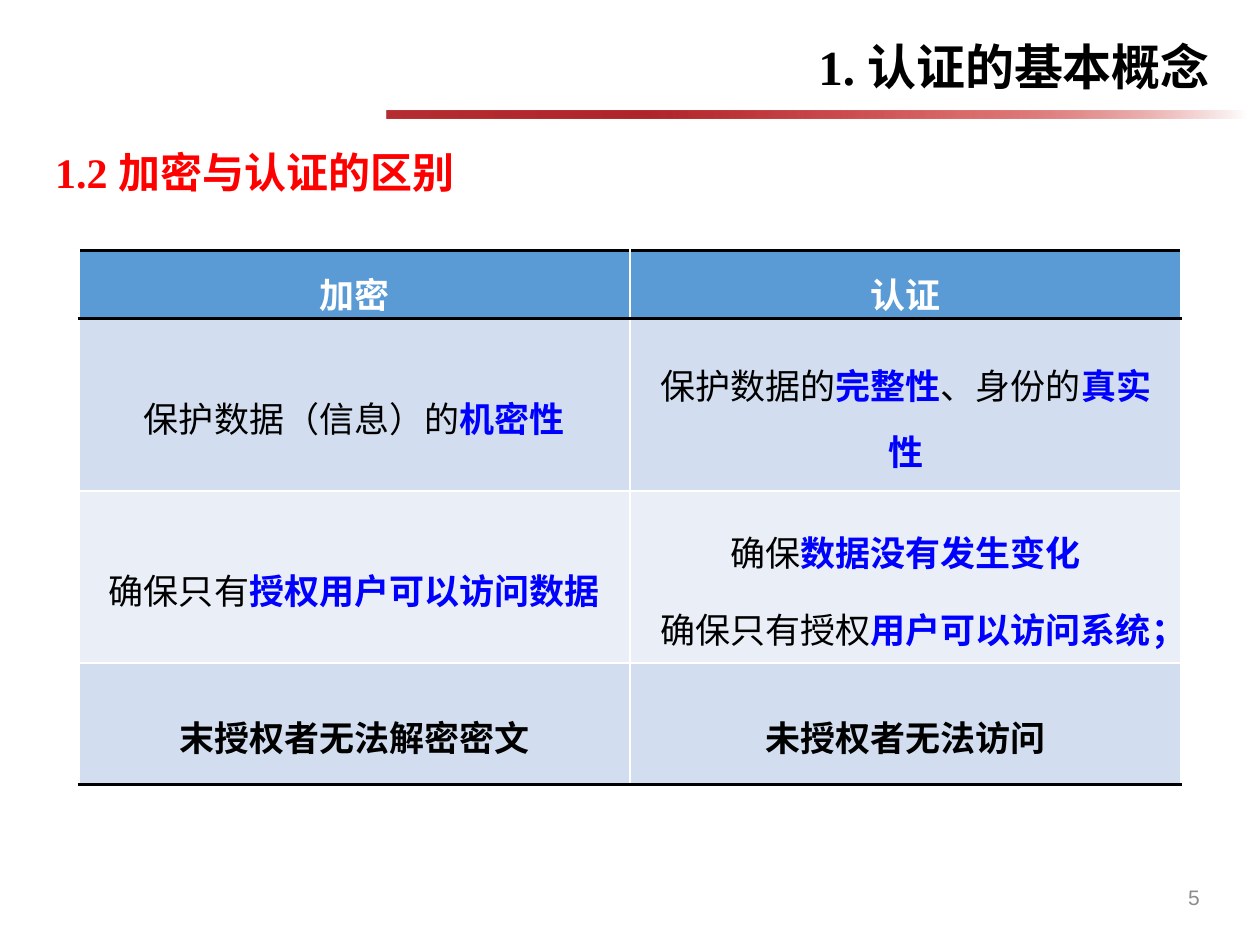
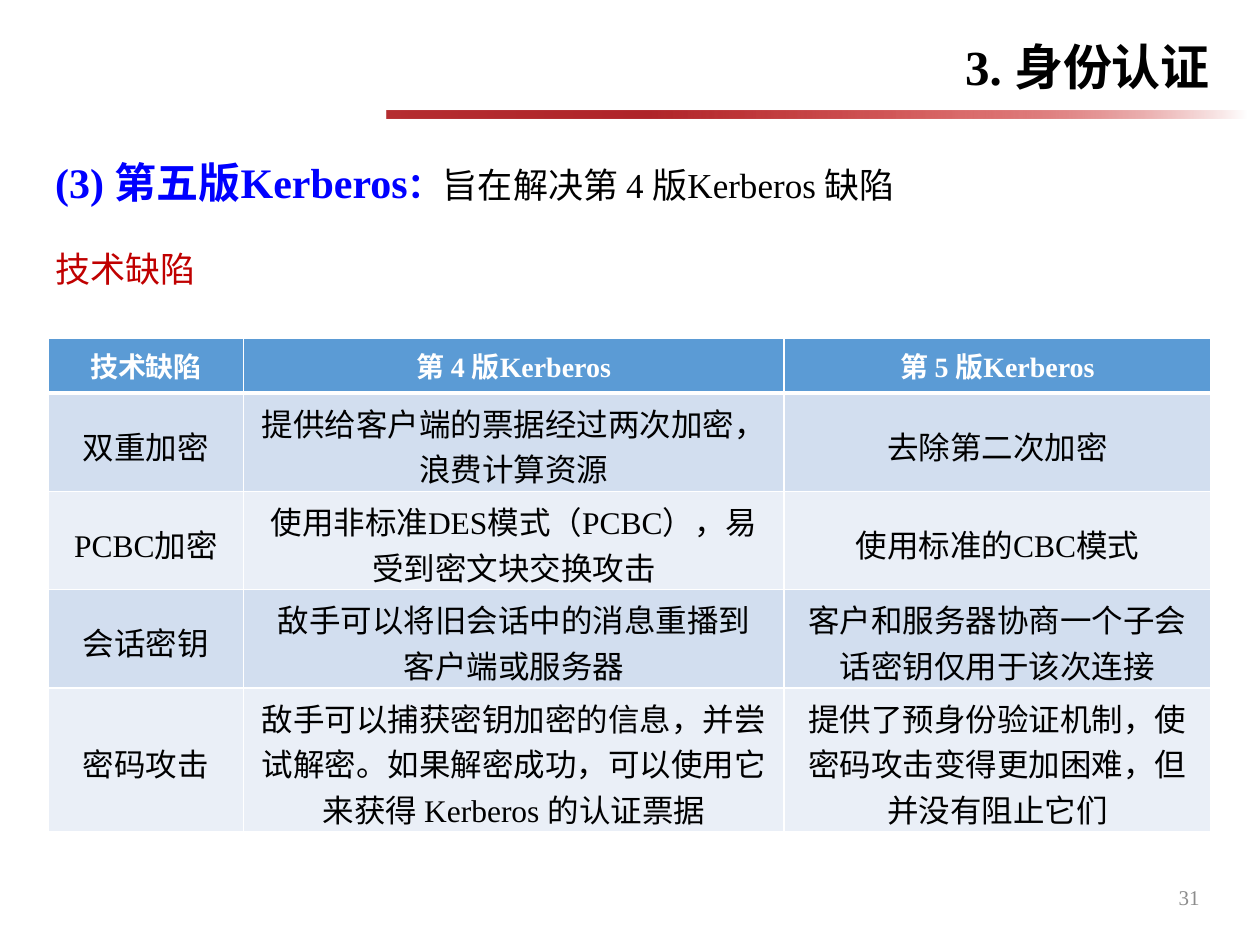
from dataclasses import dataclass

from lxml.etree import SubElement
from pptx import Presentation
from pptx.dml.color import RGBColor
from pptx.enum.shapes import MSO_SHAPE
from pptx.enum.text import MSO_ANCHOR, PP_ALIGN
from pptx.oxml.ns import qn
from pptx.util import Pt


@dataclass(frozen=True)
class Theme:
    """Colours, fonts and type sizes of the deck."""

    black: str = "000000"
    white: str = "FFFFFF"
    blue: str = "0000FF"
    red: str = "FF0000"
    dark_red: str = "C00000"
    grey: str = "8C8C8C"
    header: str = "5B9BD5"
    bands: tuple = ("D2DEEF", "EAEFF7")
    rule: tuple = ((0, "B62E31", 100), (30, "B0252A", 100),
                   (67, "C00000", 58), (100, "FFFFFF", 100))
    serif: str = "Times New Roman"
    sans: str = "Arial"
    title: int = 28
    heading: int = 24
    lead: int = 20
    body: int = 18
    label: int = 16
    footer: int = 12


THEME = Theme()


def style(size, color=THEME.black, bold=False, name=THEME.serif):
    """Return the format values of a run."""
    return {"size": Pt(size), "color": color, "bold": bold, "name": name}


def set_attributes(target, values):
    """Set each named attribute of an object."""
    for name, value in values.items():
        setattr(target, name, value)


def add_solid(parent, color, alpha=None):
    """Append an RGB colour element, with optional opacity in percent."""
    element = SubElement(parent, qn("a:srgbClr"), val=color)
    if alpha is not None:
        SubElement(element, qn("a:alpha"), val=str(alpha * 1000))


def write_text(frame, paragraphs, layout, space_between=0):
    """Fill a text frame with paragraphs, each a list of (text, style) runs."""
    for index, runs in enumerate(paragraphs):
        paragraph = frame.add_paragraph() if index else frame.paragraphs[0]
        set_attributes(paragraph, layout)
        if index and space_between:
            paragraph.space_before = Pt(space_between)
        for text, values in runs:
            run = paragraph.add_run()
            run.text = text
            font_values = dict(values)
            color = font_values.pop("color")
            set_attributes(run.font, font_values)
            run.font.color.rgb = RGBColor.from_string(color)


def add_text(slide, box, runs, anchor=MSO_ANCHOR.TOP, **layout):
    """Add a wrapping one-paragraph text box."""
    frame = slide.shapes.add_textbox(*map(Pt, box)).text_frame
    set_attributes(frame, {"word_wrap": True, "vertical_anchor": anchor})
    write_text(frame, [runs], layout)


def add_title_rule(slide):
    """Draw the fading red band under the title."""
    shape = slide.shapes.add_shape(MSO_SHAPE.RECTANGLE, *map(Pt, (221, 63.2, 491, 4.5)))
    shape.shadow.inherit = False
    shape.line.fill.background()
    shape.fill.gradient()
    shape.fill.gradient_angle = 0
    stops = shape.element.spPr.find(qn("a:gradFill")).find(qn("a:gsLst"))
    for stop in list(stops):
        stops.remove(stop)
    for position, color, alpha in THEME.rule:
        stop = SubElement(stops, qn("a:gs"), pos=str(position * 1000))
        add_solid(stop, color, alpha)


def add_frame(presentation, title, number, number_font):
    """Add a blank slide with title, band and page number."""
    slide = presentation.slides.add_slide(presentation.slide_layouts[6])
    add_title_rule(slide)
    add_text(slide, (333.4, 13, 365, 54), [(title, style(THEME.title, bold=True))],
             MSO_ANCHOR.MIDDLE, alignment=PP_ALIGN.RIGHT, line_spacing=0.9)
    add_text(slide, (530.6, 498.2, 162, 28.8),
             [(number, style(THEME.footer, THEME.grey, name=number_font))],
             MSO_ANCHOR.MIDDLE, alignment=PP_ALIGN.RIGHT)
    return slide


def set_borders(cell, borders):
    """Give the sides of a cell (left, right, top, bottom) a colour and width."""
    properties = cell._tc.get_or_add_tcPr()
    for index, (side, (color, width)) in enumerate(zip("LRTB", borders)):
        line = SubElement(properties, qn(f"a:ln{side}"), w=str(Pt(width)))
        add_solid(SubElement(line, qn("a:solidFill")), color)
        properties.remove(line)
        properties.insert(index, line)


def add_table(slide, corner, widths, heights, rows, horizontal, vertical,
              header_cell, body_cell, layout, space_between=0):
    """Add a banded table; horizontal lists the rules from top to bottom."""
    table = slide.shapes.add_table(len(rows), len(widths), *map(Pt, corner),
                                   Pt(sum(widths)), Pt(sum(heights))).table
    for column, width in zip(table.columns, widths):
        column.width = Pt(width)
    for index, (row, height) in enumerate(zip(rows, heights)):
        table.rows[index].height = Pt(height)
        for column, paragraphs in enumerate(row):
            cell = table.cell(index, column)
            set_attributes(cell, body_cell if index else header_cell)
            cell.fill.solid()
            color = THEME.bands[(index - 1) % 2] if index else THEME.header
            cell.fill.fore_color.rgb = RGBColor.from_string(color)
            set_borders(cell, (vertical, vertical, *horizontal[index:index + 2]))
            write_text(cell.text_frame, paragraphs, layout, space_between)


def cell_format(top, bottom, side=7.2, anchor=MSO_ANCHOR.MIDDLE):
    """Return margins and anchor of a cell."""
    return {"margin_top": Pt(top), "margin_bottom": Pt(bottom), "margin_left": Pt(side),
            "margin_right": Pt(side), "vertical_anchor": anchor}


def build_comparison(presentation):
    """Build the slide that compares encryption and authentication."""
    slide = add_frame(presentation, "1. 认证的基本概念", "5", THEME.sans)
    add_text(slide, (24.5, 80, 535, 36),
             [("1.2 加密与认证的区别", style(THEME.heading, THEME.red, True))])
    head = style(THEME.lead, THEME.white, True, THEME.sans)
    plain = style(THEME.lead, name=THEME.sans)
    strong = style(THEME.lead, bold=True, name=THEME.sans)
    key = style(THEME.lead, THEME.blue, True, THEME.sans)
    rows = [
        [[[("加密", head)]], [[("认证", head)]]],
        [[[("保护数据（信息）的", plain), ("机密性", key)]],
         [[("保护数据的", plain), ("完整性", key), ("、身份的", plain), ("真实性", key)]]],
        [[[("确保只有", plain), ("授权用户可以访问数据", key)]],
         [[("确保", plain), ("数据没有发生变化", key)],
          [("确保只有授权", plain), ("用户可以访问系统；", key)]]],
        [[[("末授权者无法解密密文", strong)]], [[("未授权者无法访问", strong)]]],
    ]
    dark, light = (THEME.black, 2), (THEME.white, 1.5)
    add_table(slide, (45, 143), [315] * 2, [39, 98.4, 98.4, 69.6], rows,
              [dark, dark, light, light, dark], light,
              cell_format(0, 0, anchor=MSO_ANCHOR.BOTTOM), cell_format(9.6, 3.6, 8),
              {"alignment": PP_ALIGN.CENTER, "line_spacing": 1.3}, 6)


def build_kerberos(presentation):
    """Build the slide on the flaws that Kerberos version 5 removes."""
    slide = add_frame(presentation, "3. 身份认证", "31", THEME.serif)
    add_text(slide, (24.5, 80, 637, 39),
             [("(3) 第五版Kerberos", style(THEME.heading, THEME.blue, True)),
              ("：", style(THEME.lead, THEME.blue, True)),
              ("旨在解决第 4 版Kerberos 缺陷", style(THEME.lead))], line_spacing=1.2)
    add_text(slide, (24.5, 133.2, 664.5, 34),
             [("技术缺陷", style(THEME.lead, THEME.dark_red))], line_spacing=1.2)
    texts = [
        ("技术缺陷", "第 4 版Kerberos", "第 5 版Kerberos"),
        ("双重加密", "提供给客户端的票据经过两次加密，浪费计算资源", "去除第二次加密"),
        ("PCBC加密", "使用非标准DES模式（PCBC），易受到密文块交换攻击", "使用标准的CBC模式"),
        ("会话密钥", "敌手可以将旧会话中的消息重播到\n客户端或服务器",
         "客户和服务器协商一个子会话密钥仅用于该次连接"),
        ("密码攻击",
         "敌手可以捕获密钥加密的信息，并尝试解密。如果解密成功，可以使用它来获得 Kerberos 的认证票据",
         "提供了预身份验证机制，使密码攻击变得更加困难，但并没有阻止它们"),
    ]
    head, body = style(THEME.label, THEME.white, True), style(THEME.body)
    rows = [[[[(line, body if index else head)] for line in text.split("\n")]
             for text in row] for index, row in enumerate(texts)]
    thin, thick = (THEME.white, 1), (THEME.white, 3)
    add_table(slide, (27.6, 193.2), [111.6, 308.8, 244], [31.4, 56.2, 56.2, 56.2, 82.2],
              rows, [thin, thick] + [thin] * 4, thin, cell_format(3.6, 3.6),
              cell_format(3.6, 0), {"alignment": PP_ALIGN.CENTER})


def main():
    """Build and save the deck."""
    presentation = Presentation()
    set_attributes(presentation, {"slide_width": Pt(720), "slide_height": Pt(540)})
    build_comparison(presentation)
    build_kerberos(presentation)
    presentation.save("out.pptx")


if __name__ == "__main__":
    main()
